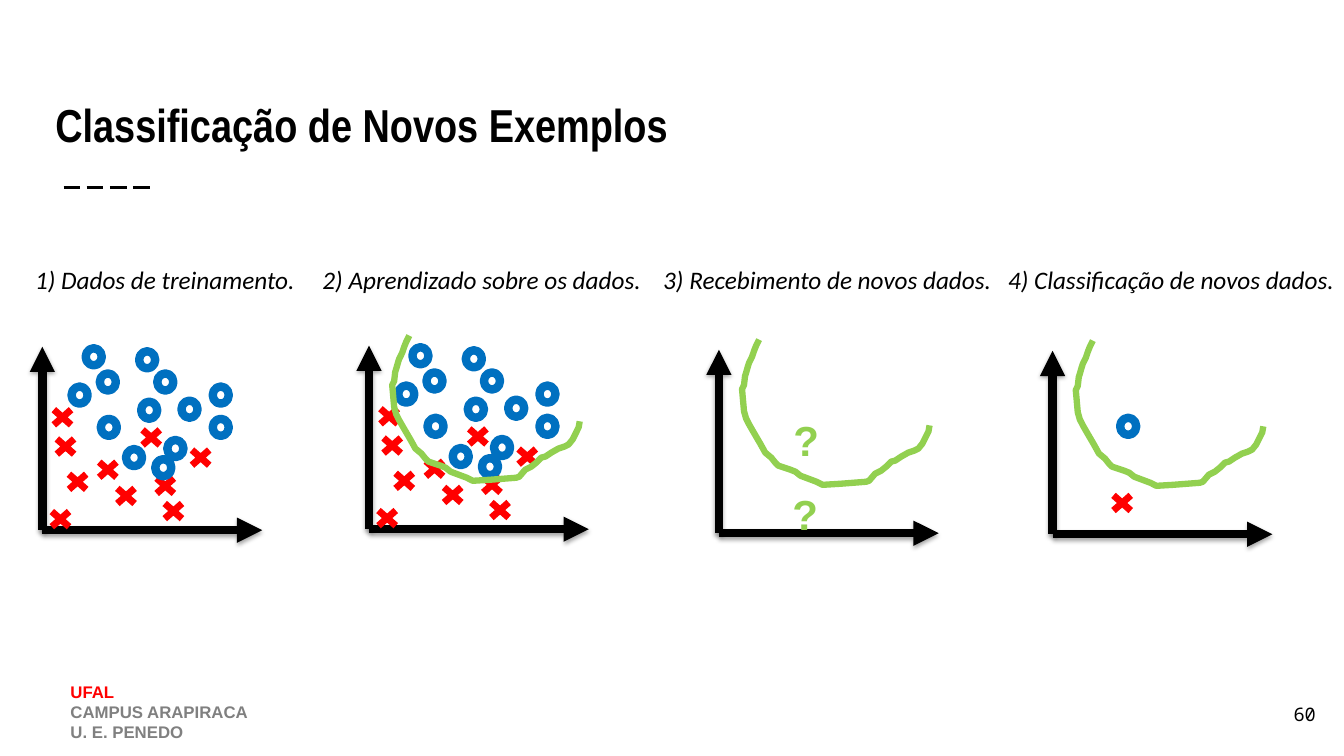
from dataclasses import dataclass
from lxml import etree
from pptx import Presentation
from pptx import util as u
from pptx.dml.color import RGBColor
from pptx.enum import dml, shapes, text
from pptx.oxml.ns import qn


@dataclass(frozen=True)
class Theme:
    ink: str = "000000"
    red: str = "FF0000"
    grey: str = "808080"
    blue: str = "0070C0"
    green: str = "92D050"
    title: float = 33
    query: float = 30
    label: float = 18
    page: float = 13.3
    footer: float = 12
    heavy: float = 6
    curve: float = 4.5
    thin: float = 1.5


T = Theme()
TITLE = "Classificação de Novos Exemplos"
FOOTER = [("UFAL", T.red), ("CAMPUS ARAPIRACA", T.grey), ("U. E. PENEDO", T.grey)]
PAGE = "60"

TRAINING = [
    ("circle", [(0.66, 1.02), (0.37, 1.34), (1.06, 1.19), (1.22, 1.47),
                (1.46, 1.2), (1.32, 0.81), (1.77, 1.02), (0.65, 1.47)]),
    ("cross", [(0.35, 0.48), (0.83, 0.34), (0.23, 0.83), (0.18, 0.11), (1.3, 0.19),
               (0.65, 0.6), (0.2, 1.12), (1.08, 0.92), (1.57, 0.72), (1.22, 0.44)]),
    ("circle", [(1.2, 0.62), (0.51, 1.72), (1.04, 1.69), (1.77, 1.34), (0.91, 0.72)]),
]
NEW = [("query", [(0.83, 1.02), (0.82, 0.28)])]
CLASSIFIED = [("circle", [(0.75, 1.07)]), ("cross", [(0.69, 0.31)])]
BOUNDARY = [
    (0.4, 1.92), (0.37, 1.86), (0.35, 1.81), (0.33, 1.75), (0.3, 1.69), (0.29, 1.66),
    (0.27, 1.59), (0.26, 1.56), (0.25, 1.47), (0.23, 1.43), (0.25, 1.21), (0.27, 1.14),
    (0.3, 1.08), (0.34, 1.01), (0.41, 0.89), (0.46, 0.8), (0.52, 0.75), (0.56, 0.7),
    (0.59, 0.67), (0.65, 0.65), (0.71, 0.63), (0.76, 0.61), (0.81, 0.57), (0.89, 0.54),
    (0.97, 0.51), (1.03, 0.48), (1.2, 0.49), (1.46, 0.51), (1.49, 0.52), (1.55, 0.59),
    (1.61, 0.62), (1.66, 0.66), (1.71, 0.71), (1.75, 0.72), (1.81, 0.76), (1.88, 0.8),
    (1.94, 0.82), (1.98, 0.84), (2.02, 0.89), (2.08, 1.01), (2.09, 1.07),
]
PANELS = [
    ("1) Dados de treinamento.", 0.25, 3, (0.42, 5.26), TRAINING, False),
    ("2) Aprendizado sobre os dados.", 3.1, 3.43, (3.66, 5.25), TRAINING, True),
    ("3) Recebimento de novos dados.", 6.48, 3.63, (7.13, 5.29), NEW, True),
    ("4) Classificação de novos dados.", 9.9, 3.63, (10.44, 5.3), CLASSIFIED, True),
]
LABEL_TOP, LABEL_HEIGHT = 2.61, 0.4
AXIS_ENDS = [(0, 1.82), (2.18, 0)]
MARK_SIZE = {"circle": (0.16, 0.17), "cross": (0.33, 0.29), "query": (0.38, 0.42)}


def inches(*lengths):
    return [u.Inches(length) for length in lengths]


def write(slide, box, lines, size, font, bold=False, italic=False, inset=0.05,
          anchor=text.MSO_ANCHOR.TOP, align=text.PP_ALIGN.LEFT, wrap=True, spacing=None):
    frame = slide.shapes.add_textbox(*inches(*box)).text_frame
    frame.word_wrap = wrap
    frame.vertical_anchor = anchor
    frame.margin_top = frame.margin_bottom = u.Inches(inset)
    frame.text = "\n".join(words for words, _ in lines)
    for paragraph, (_, color) in zip(frame.paragraphs, lines):
        paragraph.alignment = align
        paragraph.line_spacing = spacing
        for run in paragraph.runs:
            run.font.size = u.Pt(size)
            run.font.name = font
            run.font.bold = bold
            run.font.italic = italic
            run.font.color.rgb = RGBColor.from_string(color)


def stroke(part, color, width):
    part.line.color.rgb = RGBColor.from_string(color)
    part.line.width = u.Pt(width)


def rule(slide, start, end, width):
    line = slide.shapes.add_connector(shapes.MSO_CONNECTOR.STRAIGHT, *inches(*start, *end))
    stroke(line, T.ink, width)
    effects = etree.SubElement(line._element.spPr, qn("a:effectLst"))
    return line, effects


def add_axis(slide, start, end):
    axis, effects = rule(slide, start, end, T.heavy)
    etree.SubElement(axis.line._get_or_add_ln(), qn("a:tailEnd"), type="triangle")
    shadow = etree.SubElement(effects, qn("a:outerShdw"), blurRad=str(u.Pt(3.1)),
                              dist=str(u.Pt(1.8)), dir="5400000", rotWithShape="0")
    tint = etree.SubElement(shadow, qn("a:srgbClr"), val=T.ink)
    etree.SubElement(tint, qn("a:alpha"), val="35000")


def add_mark(slide, kind, center):
    width, height = MARK_SIZE[kind]
    box = (center[0] - width / 2, center[1] - height / 2, width, height)
    if kind == "query":
        write(slide, box, [("?", T.green)], T.query, "Arial", bold=True, wrap=False)
        return
    preset = shapes.MSO_SHAPE.OVAL if kind == "circle" else shapes.MSO_SHAPE.MATH_MULTIPLY
    mark = slide.shapes.add_shape(preset, *inches(*box))
    mark.shadow.inherit = False
    if kind == "circle":
        mark.fill.background()
        stroke(mark, T.blue, T.heavy)
    else:
        mark.fill.solid()
        mark.fill.fore_color.rgb = RGBColor.from_string(T.red)
        mark.line.fill.background()


def add_boundary(slide, points):
    start, *bends = [inches(*point) for point in points]
    builder = slide.shapes.build_freeform(*start)
    builder.add_line_segments(bends, close=False)
    boundary = builder.convert_to_shape()
    boundary.shadow.inherit = False
    boundary.fill.background()
    stroke(boundary, T.green, T.curve)


def add_panel(slide, label, left, width, origin, marks, learned):
    def place(point):
        return origin[0] + point[0], origin[1] - point[1]

    for end in AXIS_ENDS:
        add_axis(slide, origin, place(end))
    for kind, centers in marks:
        for center in centers:
            add_mark(slide, kind, place(center))
    if learned:
        add_boundary(slide, [place(point) for point in BOUNDARY])
    write(slide, (left, LABEL_TOP, width, LABEL_HEIGHT), [(label, T.ink)], T.label,
          "Calibri", italic=True, align=text.PP_ALIGN.JUSTIFY, spacing=0.9)


def main():
    deck = Presentation()
    deck.slide_width, deck.slide_height = inches(13.33, 7.5)
    slide = deck.slides.add_slide(deck.slide_layouts[6])
    dashes, _ = rule(slide, (0.63, 1.86), (1.52, 1.86), T.thin)
    dashes.line.dash_style = dml.MSO_LINE.LONG_DASH
    write(slide, (0.6, 6.71, 6.11, 0.71), FOOTER, T.footer, "Arial", bold=True)
    write(slide, (0.45, 0.54, 12.42, 1.07), [(TITLE, T.ink)], T.title, "Arial Narrow",
          bold=True, inset=0.1, anchor=text.MSO_ANCHOR.BOTTOM)
    write(slide, (12.35, 6.8, 0.8, 0.57), [(PAGE, T.ink)], T.page, "Noto Sans Mono",
          inset=0.1, anchor=text.MSO_ANCHOR.MIDDLE, align=text.PP_ALIGN.RIGHT)
    for panel in PANELS:
        add_panel(slide, *panel)
    deck.save("out.pptx")


if __name__ == "__main__":
    main()
